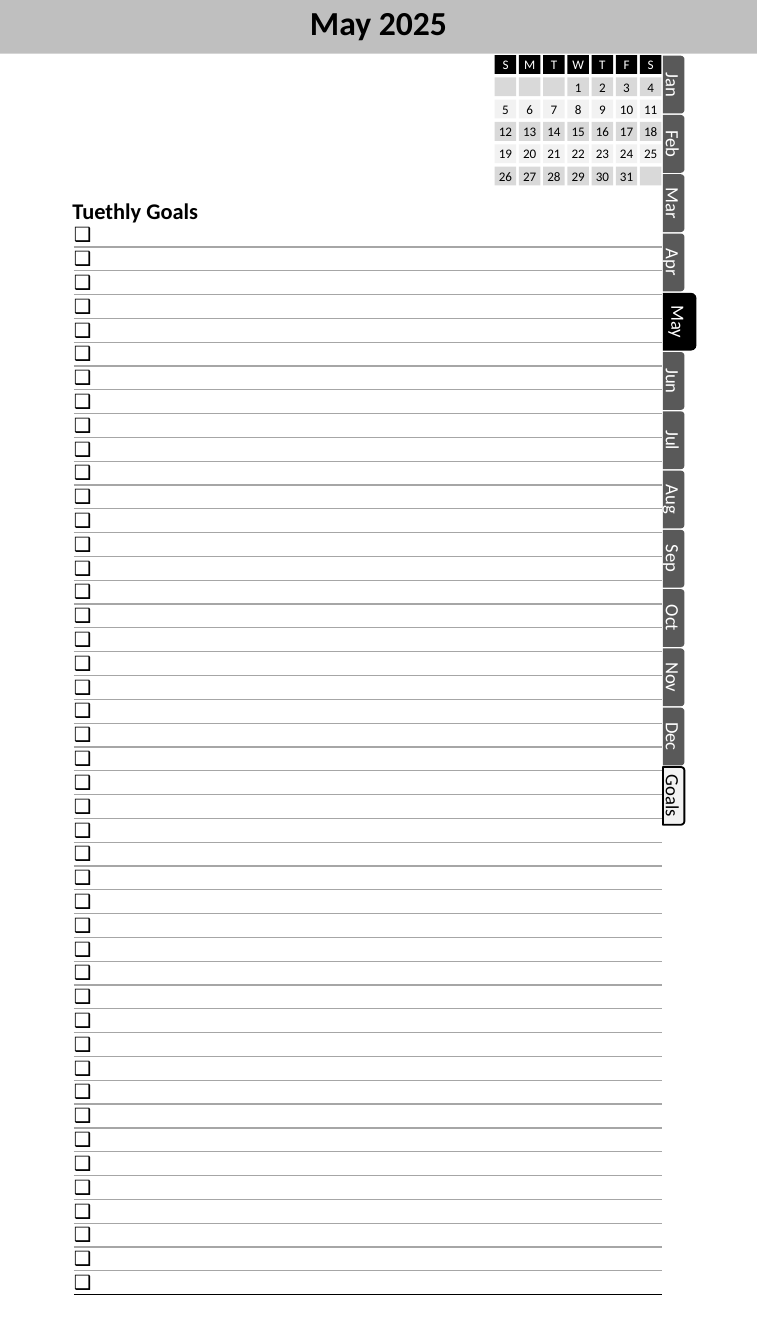
from lxml import etree
from pptx import Presentation, util as u
from pptx.dml.color import RGBColor
from pptx.enum import shapes, text
from pptx.oxml import parse_xml
from pptx.oxml.ns import nsdecls, qn

FONT = "Calibri"
W, H = 5.63, 10
BAR_H = 0.4


def style(p, size, colour, bold=False):
    for r in p.runs:
        r.font.name, r.font.size, r.font.bold = FONT, u.Pt(size), bold
        r.font.color.rgb = RGBColor.from_string(colour)


def add_block(parent, preset, box, fill, label="", size=7, colour="000000"):
    """Add a borderless filled shape with an optional centred label."""
    sp = parent.shapes.add_shape(preset, *map(u.Inches, box))
    sp.shadow.inherit = False
    sp.fill.solid()
    sp.fill.fore_color.rgb = RGBColor.from_string(fill)
    sp.line.fill.background()
    if label:
        tf = sp.text_frame
        tf.margin_left = tf.margin_right = tf.margin_top = tf.margin_bottom = 0
        tf.vertical_anchor = text.MSO_ANCHOR.MIDDLE
        tf.text = label
        p = tf.paragraphs[0]
        p.alignment = text.PP_ALIGN.CENTER
        style(p, size, colour)
    return sp


prs = Presentation()
prs.slide_width, prs.slide_height = u.Inches(W), u.Inches(H)
s = prs.slides.add_slide(prs.slide_layouts[5])
RECT = shapes.MSO_SHAPE.RECTANGLE
TAB = shapes.MSO_SHAPE.ROUND_2_SAME_RECTANGLE

# Header bar, placed behind the title
bar = add_block(s, RECT, (0, 0, W, BAR_H), "BFBFBF")
title = s.shapes.title
title._element.addprevious(bar._element)
title.left, title.top = u.Inches(1.27), 0
title.width, title.height = u.Inches(3.09), u.Inches(BAR_H)
tf = title.text_frame
tf.text = "May 2025"
tf.vertical_anchor = text.MSO_ANCHOR.MIDDLE
tf.margin_top, tf.margin_bottom = 0, u.Inches(0.03)
p = tf.paragraphs[0]
p.alignment = text.PP_ALIGN.CENTER
p.line_spacing = 0.9
style(p, 18, "000000", True)

# Ruled checklist
ROWS, LIST_TOP, LIST_H = 45, 1.66, 7.99
frame = s.shapes.add_table(ROWS, 1, u.Inches(0.55), u.Inches(LIST_TOP),
                           u.Inches(4.37), u.Inches(LIST_H))
table = frame.table
table.first_row = table.horz_banding = False
table._tbl.tblPr.find(qn("a:tableStyleId")).text = "{2D5ABB26-0587-4C30-8999-92F81FD0307C}"
for i, row in enumerate(table.rows):
    row.height = u.Inches(LIST_H / ROWS)
    cell = row.cells[0]
    cell.margin_left = cell.margin_right = cell.margin_top = cell.margin_bottom = 0
    cell.vertical_anchor = text.MSO_ANCHOR.MIDDLE
    cell.fill.background()
    rule, weight = ("000000", 1) if i == ROWS - 1 else ("A6A6A6", 0.75)
    cell._tc.get_or_add_tcPr().insert(0, parse_xml(
        f'<a:lnB {nsdecls("a")} w="{u.Pt(weight)}"><a:solidFill>'
        f'<a:srgbClr val="{rule}"/></a:solidFill></a:lnB>'))
    # The bullet is the checkbox; it is drawn only beside a non-empty paragraph
    cell.text = " "
    p = cell.text_frame.paragraphs[0]
    pPr = p._p.get_or_add_pPr()
    pPr.set("marL", str(u.Inches(0.18)))
    pPr.set("indent", str(u.Inches(-0.18)))
    etree.SubElement(pPr, qn("a:buSzPct"), val="105000")
    etree.SubElement(pPr, qn("a:buFont"), typeface=FONT)
    etree.SubElement(pPr, qn("a:buChar"), char="❑")
    style(p, 10, "000000")

heading = s.shapes.add_textbox(*map(u.Inches, (0.44, 1.42, 1.15, 0.3)))
tf = heading.text_frame
tf.word_wrap = False
tf.auto_size = text.MSO_AUTO_SIZE.SHAPE_TO_FIT_TEXT
tf.text = "Tuethly Goals"
style(tf.paragraphs[0], 12, "000000", True)

# Side tabs, turned to read downwards; their left edges line up
TAB_LEFT, TAB_LEN, TAB_PITCH, FIRST_MIDDLE = 4.93, 0.43, 0.441, 0.63
tabs = "Jan Feb Mar Apr May Jun Jul Aug Sep Oct Nov Dec Goals".split()
for i, name in enumerate(tabs):
    depth, fill, colour = 0.16, "595959", "FFFFFF"
    if name == "May":
        depth, fill = 0.25, "000000"
    elif name == "Goals":
        fill, colour = "F2F2F2", "000000"
    middle = FIRST_MIDDLE + i * TAB_PITCH
    box = (TAB_LEFT + depth / 2 - TAB_LEN / 2, middle - depth / 2, TAB_LEN, depth)
    sp = add_block(s, TAB, box, fill, name, 10, colour)
    sp.rotation = 90
    if name == "Goals":
        sp.line.color.rgb = RGBColor.from_string("000000")
        sp.line.width = u.Pt(1)

# Month calendar: weekday row, then five weeks
CAL_LEFT, CAL_TOP, COL, ROW = 3.68, 0.41, 0.18, 0.166
FIRST_DAY, DAYS = 3, 31
calendar = s.shapes.add_group_shape()
for i in range(6 * 7):
    week, weekday = divmod(i, 7)
    day = i - 7 - FIRST_DAY + 1
    if week == 0:
        label, fill, colour = "SMTWTFS"[weekday], "000000", "FFFFFF"
    else:
        label = str(day) if 1 <= day <= DAYS else ""
        fill, colour = ("D9D9D9" if week % 2 else "F2F2F2"), "000000"
    box = (CAL_LEFT + weekday * COL, CAL_TOP + week * ROW, 0.16, 0.14)
    add_block(calendar, RECT, box, fill, label, 7, colour)

prs.save("out.pptx")
